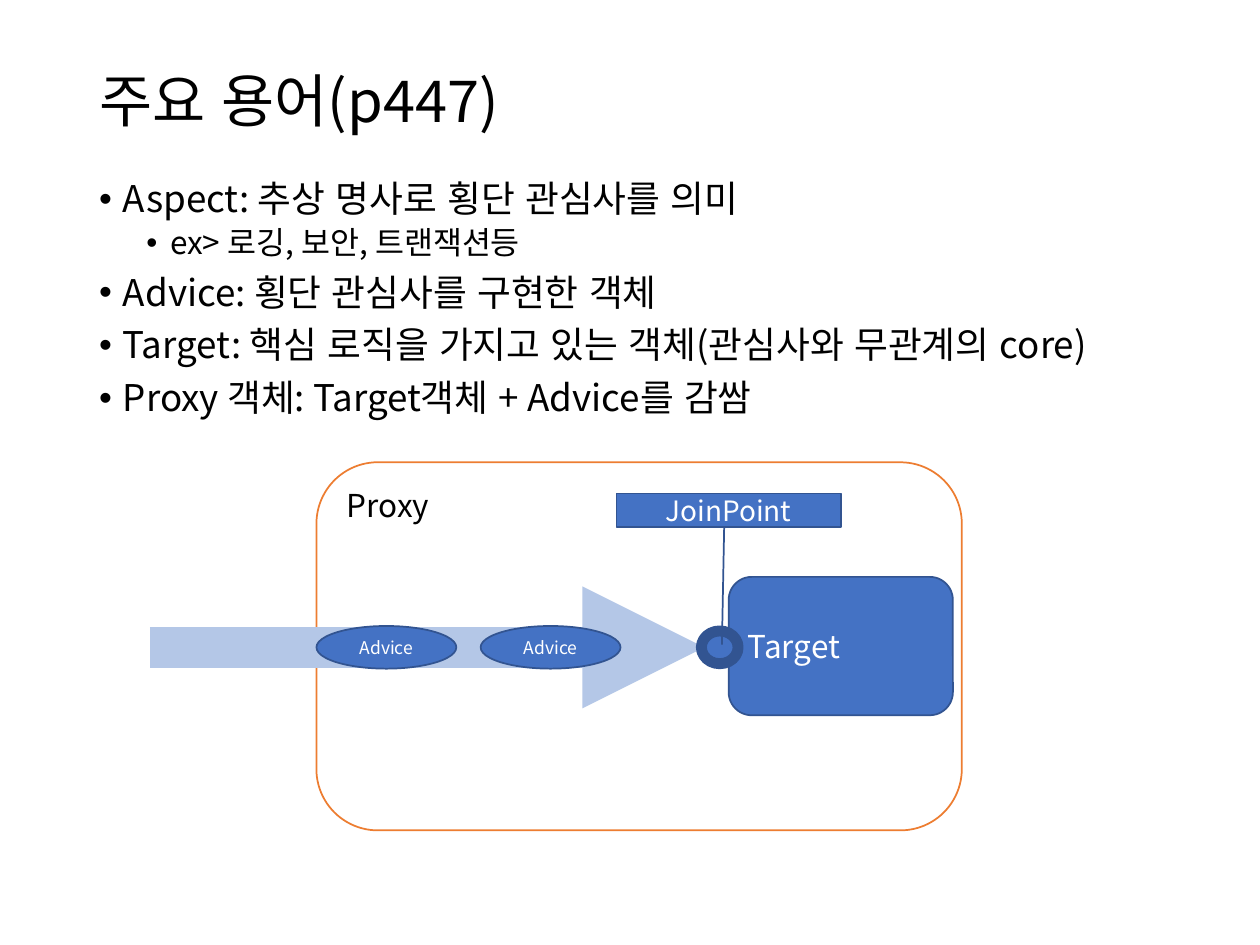
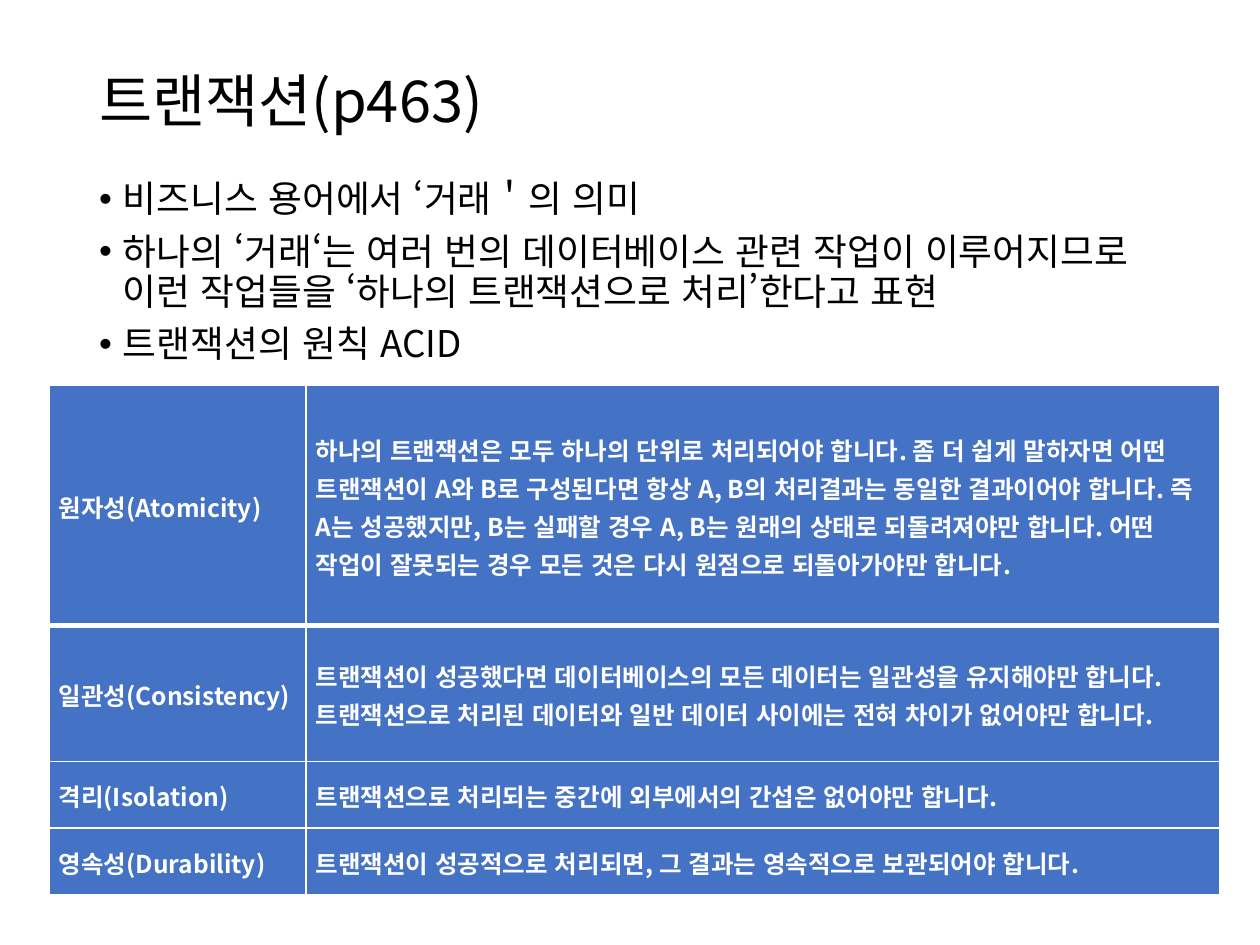
"""Builds two slides on aspect terms and transactions."""
from lxml import etree
from pptx import Presentation
from pptx.dml.color import RGBColor
from pptx.enum.lang import MSO_LANGUAGE_ID
from pptx.enum.shapes import MSO_CONNECTOR, MSO_SHAPE
from pptx.enum.text import MSO_ANCHOR, PP_ALIGN
from pptx.oxml.ns import qn
from pptx.util import Cm, Pt

ROUNDED = MSO_SHAPE.ROUNDED_RECTANGLE
OVAL = MSO_SHAPE.OVAL
CALLOUT = MSO_SHAPE.LINE_CALLOUT_1
STRAIGHT = MSO_CONNECTOR.STRAIGHT
TOP, MIDDLE = MSO_ANCHOR.TOP, MSO_ANCHOR.MIDDLE
LEFT, CENTER = PP_ALIGN.LEFT, PP_ALIGN.CENTER
KOREAN = MSO_LANGUAGE_ID.KOREAN

BLACK = RGBColor(0x00, 0x00, 0x00)
WHITE = RGBColor(0xFF, 0xFF, 0xFF)
BLUE = RGBColor(0x44, 0x72, 0xC4)
DARK_BLUE = RGBColor(0x32, 0x54, 0x91)
PALE_BLUE = RGBColor(0xB4, 0xC7, 0xE7)
ORANGE = RGBColor(0xED, 0x7D, 0x31)

FONT = "Noto Sans CJK KR"
BULLET_FONT = "Arial"
TEXT_LEFT, TEXT_WIDTH = 1.75, 21.9
# Per level: text size, space before, left indent in cm
LEVELS = [(21, 7.5, 0.48), (18, 3.8, 1.43)]
BULLET_HANG = 0.48

TERMS = [
    (0, "Aspect: 추상 명사로 횡단 관심사를 의미"),
    (1, "ex> 로깅, 보안, 트랜잭션등"),
    (0, "Advice: 횡단 관심사를 구현한 객체"),
    (0, "Target: 핵심 로직을 가지고 있는 객체(관심사와 무관계의 core)"),
    (0, "Proxy 객체: Target객체 + Advice를 감쌈"),
]
TRANSACTION = [
    (0, "비즈니스 용어에서 ‘거래＇의 의미"),
    (0, "하나의 ‘거래‘는 여러 번의 데이터베이스 관련 작업이 이루어지므로 "
        "이런 작업들을 ‘하나의 트랜잭션으로 처리’한다고 표현"),
    (0, "트랜잭션의 원칙 ACID"),
]
COLUMN_WIDTHS = [5.18, 18.41]
# Row height in cm, principle, meaning
ACID_ROWS = [
    (4.84, "원자성(Atomicity)",
     "하나의 트랜잭션은 모두 하나의 단위로 처리되어야 합니다. 좀 더 쉽게 말하자면 "
     "어떤 트랜잭션이 A와 B로 구성된다면 항상 A, B의 처리결과는 동일한 결과이어야 "
     "합니다. 즉 A는 성공했지만, B는 실패할 경우 A, B는 원래의 상태로 "
     "되돌려져야만 합니다. 어떤 작업이 잘못되는 경우 모든 것은 다시 원점으로 "
     "되돌아가야만 합니다."),
    (2.74, "일관성(Consistency)",
     "트랜잭션이 성공했다면 데이터베이스의 모든 데이터는 일관성을 유지해야만 합니다. "
     "트랜잭션으로 처리된 데이터와 일반 데이터 사이에는 전혀 차이가 없어야만 합니다."),
    (1.34, "격리(Isolation)",
     "트랜잭션으로 처리되는 중간에 외부에서의 간섭은 없어야만 합니다."),
    (1.34, "영속성(Durability)",
     "트랜잭션이 성공적으로 처리되면, 그 결과는 영속적으로 보관되어야 합니다."),
]


def write(para, text, size, color, align=LEFT, spacing=1.0, bold=False):
    """Fill a paragraph and set its font for Latin and Korean text."""
    para.text = text
    para.runs[0].font.language_id = KOREAN
    para.alignment = align
    para.line_spacing = spacing
    font = para.font
    font.size, font.name, font.bold = Pt(size), FONT, bold
    font.color.rgb = color
    defaults = para._p.pPr.find(qn("a:defRPr"))
    etree.SubElement(defaults, qn("a:ea"), typeface=FONT)


def add_bullet(para, indent):
    """Give a paragraph a round bullet with a hanging indent."""
    props = para._p.pPr
    props.set("marL", str(Cm(indent)))
    props.set("indent", str(-Cm(BULLET_HANG)))
    defaults = props.find(qn("a:defRPr"))
    defaults.addprevious(etree.Element(qn("a:buFont"), typeface=BULLET_FONT))
    defaults.addprevious(etree.Element(qn("a:buChar"), char="•"))


def add_text_frame(page, top, height, anchor):
    """Add a wrapping text box in the shared text column."""
    box = page.shapes.add_textbox(Cm(TEXT_LEFT), Cm(top), Cm(TEXT_WIDTH), Cm(height))
    frame = box.text_frame
    frame.word_wrap = True
    frame.vertical_anchor = anchor
    return frame


def add_page(deck, title, bullets):
    """Add a slide with a title and a bulleted list."""
    page = deck.slides.add_slide(deck.slide_layouts[6])
    heading = add_text_frame(page, 1.02, 2.16, MIDDLE)
    write(heading.paragraphs[0], title, 33, BLACK, spacing=0.9)
    body = add_text_frame(page, 3.52, 13.64, TOP)
    for index, (level, text) in enumerate(bullets):
        para = body.add_paragraph() if index else body.paragraphs[0]
        size, before, indent = LEVELS[level]
        write(para, text, size, BLACK, spacing=0.9)
        para.level = level
        para.space_before = Pt(before)
        add_bullet(para, indent)
    return page


def add_box(page, kind, left, top, width, height,
            fill=BLUE, line=DARK_BLUE, line_width=1):
    """Add a filled and outlined preset shape, measured in cm."""
    box = page.shapes.add_shape(kind, Cm(left), Cm(top), Cm(width), Cm(height))
    box.shadow.inherit = False
    box.fill.solid()
    box.fill.fore_color.rgb = fill
    box.line.color.rgb = line
    box.line.width = Pt(line_width)
    return box


def label(box, text, size, color=WHITE, align=CENTER, anchor=MIDDLE):
    """Write one line of text into a shape."""
    box.text_frame.vertical_anchor = anchor
    write(box.text_frame.paragraphs[0], text, size, color, align)


def add_arrow(page, start, end, y, color, width):
    """Add a horizontal line with a triangular head at its end."""
    arrow = page.shapes.add_connector(STRAIGHT, Cm(start), Cm(y), Cm(end), Cm(y))
    arrow.line.color.rgb = color
    arrow.line.width = Pt(width)
    etree.SubElement(arrow.line._get_or_add_ln(), qn("a:tailEnd"), type="triangle")
    etree.SubElement(arrow._element.spPr, qn("a:effectLst"))


def add_proxy_diagram(page):
    """Draw the call passing through advice to the target in a proxy."""
    proxy = add_box(page, ROUNDED, 6.38, 9.32, 13.01, 7.42, WHITE, ORANGE)
    label(proxy, "Proxy", 18, BLACK, LEFT, TOP)
    target = add_box(page, ROUNDED, 14.69, 11.63, 4.52, 2.79)
    label(target, "Target", 18, align=LEFT)
    add_arrow(page, 3.02, 14.2, 13.05, PALE_BLUE, 23.25)
    for left in (6.38, 9.69):
        advice = add_box(page, OVAL, left, 12.62, 2.82, 0.86)
        label(advice, "Advice", 10)
    add_box(page, OVAL, 14.14, 12.72, 0.74, 0.66, line_width=6.25)
    join_point = add_box(page, CALLOUT, 12.43, 9.95, 4.52, 0.67)
    for index, value in enumerate((1.04, 0.48, 4.55, 0.47)):
        join_point.adjustments[index] = value
    label(join_point, "JoinPoint", 16)


def set_borders(cell, top, bottom):
    """Give a cell white borders, with widths in points above and below."""
    props = cell._tc.get_or_add_tcPr()
    sides = (("lnL", 1), ("lnR", 1), ("lnT", top), ("lnB", bottom))
    for index, (side, width) in enumerate(sides):
        border = etree.Element(qn(f"a:{side}"), w=str(Pt(width)))
        fill = etree.SubElement(border, qn("a:solidFill"))
        etree.SubElement(fill, qn("a:srgbClr"), val=str(WHITE))
        props.insert(index, border)


def add_acid_table(page):
    """Add the table of the four transaction principles."""
    heights = [row[0] for row in ACID_ROWS]
    table = page.shapes.add_table(
        len(ACID_ROWS), len(COLUMN_WIDTHS), Cm(0.99), Cm(7.77),
        Cm(sum(COLUMN_WIDTHS)), Cm(sum(heights))).table
    for column, width in zip(table.columns, COLUMN_WIDTHS):
        column.width = Cm(width)
    for index, (height, *texts) in enumerate(ACID_ROWS):
        table.rows[index].height = Cm(height)
        for cell, text in zip(table.rows[index].cells, texts):
            cell.fill.solid()
            cell.fill.fore_color.rgb = BLUE
            cell.vertical_anchor = MIDDLE
            cell.margin_left = cell.margin_right = Cm(0.19)
            cell.margin_top = cell.margin_bottom = 0
            write(cell.text_frame.paragraphs[0], text, 14, WHITE,
                  spacing=1.07, bold=True)
            set_borders(cell, 3 if index == 1 else 1, 3 if index == 0 else 1)


def main():
    """Build and save the deck."""
    deck = Presentation()
    deck.slide_width, deck.slide_height = Cm(25.4), Cm(19.05)
    add_proxy_diagram(add_page(deck, "주요 용어(p447)", TERMS))
    add_acid_table(add_page(deck, "트랜잭션(p463)", TRANSACTION))
    deck.save("out.pptx")


main()
